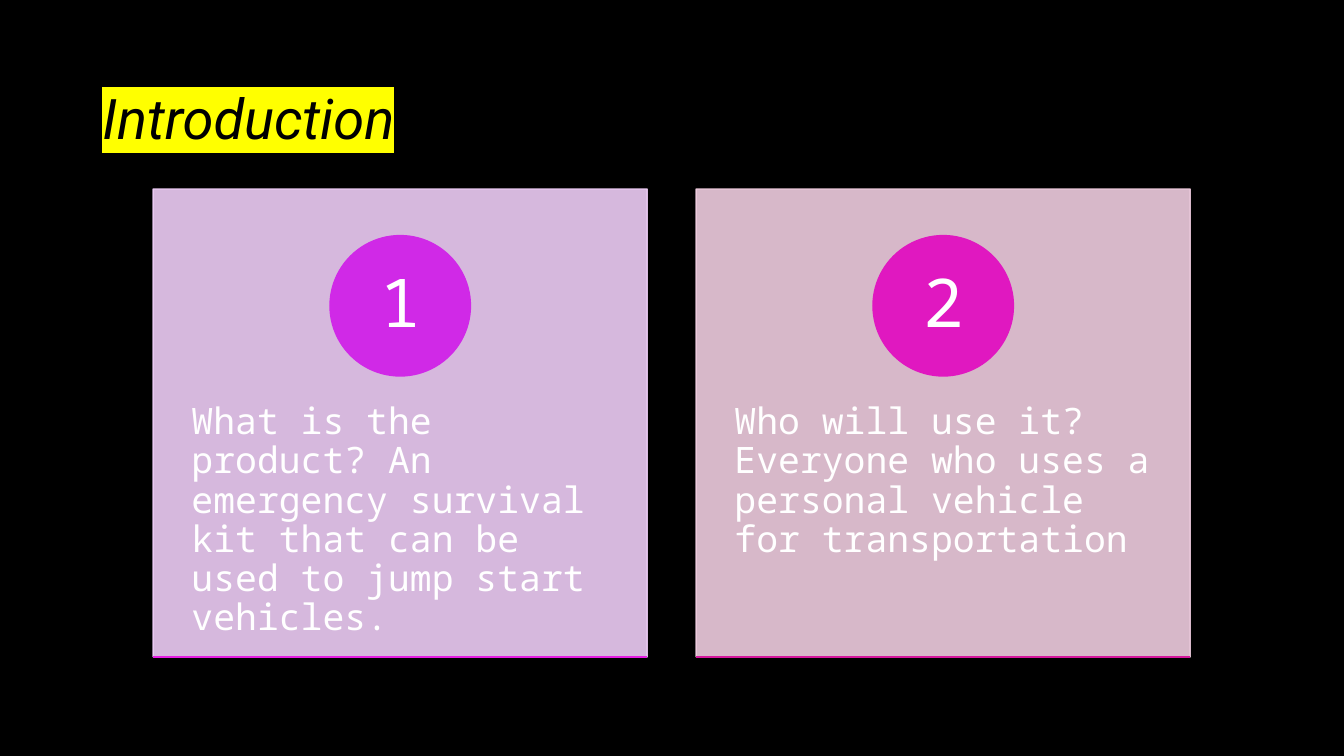
from lxml import etree
from pptx import Presentation
from pptx import util as u
from pptx.dml.color import RGBColor
from pptx.enum import shapes, text
from pptx.oxml import ns

WHITE, BLACK, YELLOW = "FFFFFF", "000000", "FFFF00"


def colour(value):
    return RGBColor.from_string(value)


class Slide:
    """Style and current slide; lengths are percentages of the slide's size."""

    title_font = "Roboto"
    body_font = "Noto Sans Mono"

    def __init__(self, deck):
        self.width, self.height = deck.slide_width, deck.slide_height
        self.page = deck.slides.add_slide(deck.slide_layouts[6])
        fill = self.page.background.fill
        fill.solid()
        fill.fore_color.rgb = colour(BLACK)

    def x(self, share):
        return round(self.width * share / 100)

    def y(self, share):
        return round(self.height * share / 100)

    def area(self, left, top, width, height):
        return self.x(left), self.y(top), self.x(width), self.y(height)

    def shape(self, kind, area, tint, opacity=100):
        shape = self.page.shapes.add_shape(kind, *self.area(*area))
        shape.shadow.inherit = False
        shape.line.width = u.Pt(1)
        for fill in (shape.fill, shape.line.fill):
            fill.solid()
            fill.fore_color.rgb = colour(tint)
        if opacity < 100:
            for element in shape._element.spPr.iter(ns.qn("a:srgbClr")):
                etree.SubElement(element, ns.qn("a:alpha"), val=str(opacity * 1000))

    def line(self, left, top, width, tint):
        line = self.page.shapes.add_connector(
            shapes.MSO_CONNECTOR.STRAIGHT,
            self.x(left), self.y(top), self.x(left + width), self.y(top))
        line.line.color.rgb = colour(tint)
        line.line.width = u.Pt(1)
        etree.SubElement(line._element.spPr, ns.qn("a:effectLst"))

    def text(self, words, area, size, font=body_font, tint=WHITE, spacing=0.9,
             inset=(0.1, 0.05), anchor=text.MSO_ANCHOR.TOP,
             align=text.PP_ALIGN.LEFT, italic=False, highlight=None):
        box = self.page.shapes.add_textbox(*self.area(*area))
        frame = box.text_frame
        frame.word_wrap = True
        frame.vertical_anchor = anchor
        frame.margin_left = frame.margin_right = u.Inches(inset[0])
        frame.margin_top = frame.margin_bottom = u.Inches(inset[1])
        para = frame.paragraphs[0]
        para.alignment = align
        para.line_spacing = spacing
        span = para.add_run()
        span.text = words
        span.font.name = font
        span.font.size = u.Pt(size)
        span.font.italic = italic
        span.font.color.rgb = colour(tint)
        if highlight:
            mark = etree.Element(ns.qn("a:highlight"))
            etree.SubElement(mark, ns.qn("a:srgbClr"), val=highlight)
            span.font._element.find(ns.qn("a:solidFill")).addnext(mark)

    def card(self, left, number, words, panel, badge, base):
        width, top, height = 36.76, 25, 61.9
        middle, badge_centre = left + width / 2, 40.45

        # Panel and its text
        self.shape(shapes.MSO_SHAPE.RECTANGLE, (left, top, width, height), panel, 90)
        self.text(words, (left, 48.53, width, 37.07), 26, inset=(0.38, 0.36))

        # Numbered badge
        def centred(wide, high):
            return middle - wide / 2, badge_centre - high / 2, wide, high

        self.shape(shapes.MSO_SHAPE.OVAL, centred(10.45, 18.57), badge)
        self.text(number, centred(7.35, 13.07), 48, inset=(0.11, 0.01),
                  anchor=text.MSO_ANCHOR.MIDDLE, align=text.PP_ALIGN.CENTER)

        # Base line
        self.line(left, top + height, width, base)


def main():
    deck = Presentation()
    deck.slide_width, deck.slide_height = u.Inches(13.33), u.Inches(7.5)
    slide = Slide(deck)

    # Title
    slide.text("Introduction", (6.88, 5.6, 58.97, 14.93), 40, Slide.title_font,
               BLACK, 1.2, anchor=text.MSO_ANCHOR.BOTTOM, italic=True,
               highlight=YELLOW)

    # Cards
    cards = [
        ("What is the product? An emergency survival kit that can be used to "
         "jump start vehicles.", "EECDF6", "D029E7", "E61EE3"),
        ("Who will use it? Everyone who uses a personal vehicle for "
         "transportation", "EFCCDF", "E018C0", "D5179D"),
    ]
    for index, (words, panel, badge, base) in enumerate(cards):
        slide.card(11.4 + 40.4 * index, str(index + 1), words, panel, badge, base)

    deck.save("out.pptx")


if __name__ == "__main__":
    main()
